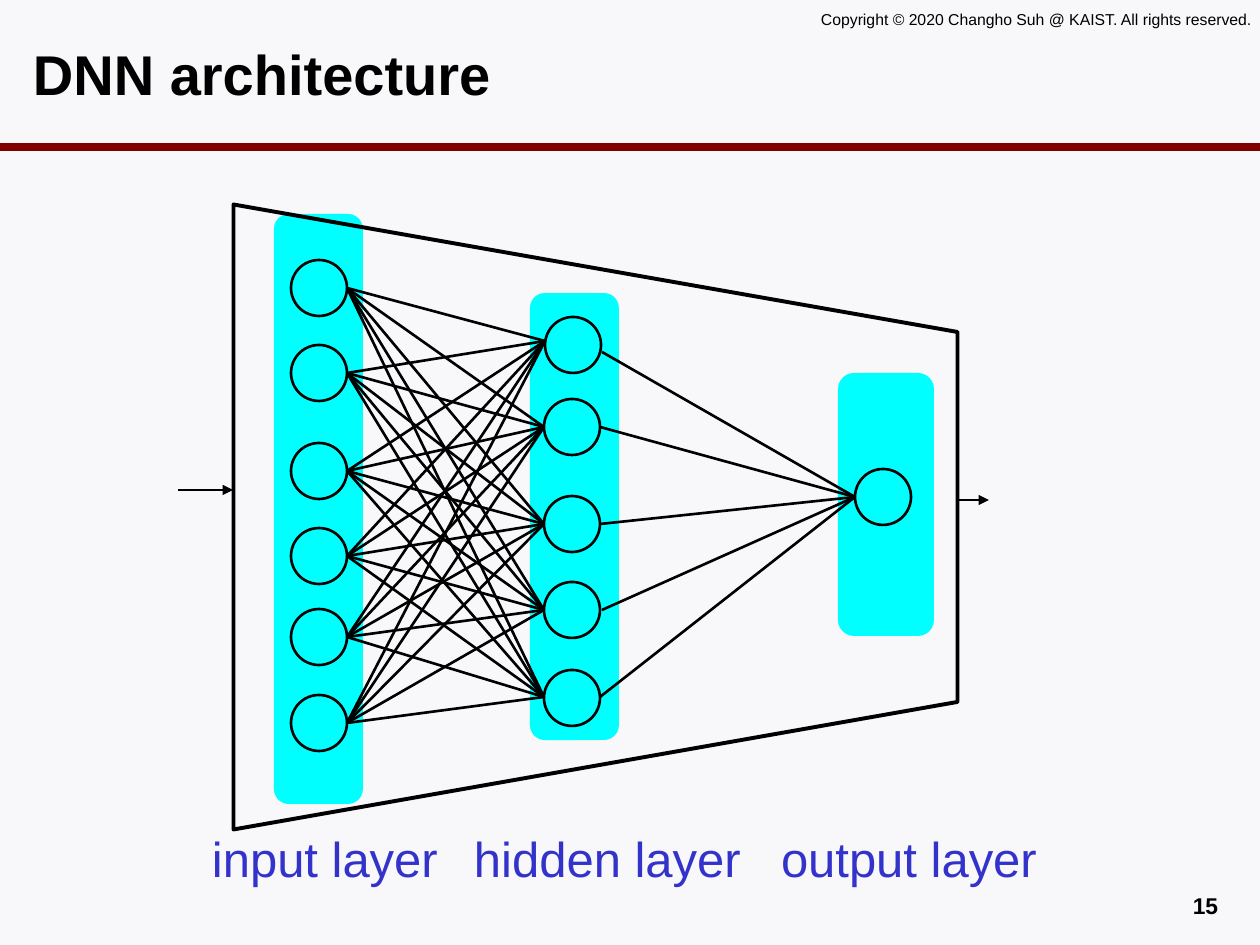
from dataclasses import dataclass
from itertools import product

from lxml import etree
from pptx import Presentation
from pptx.dml.color import RGBColor
from pptx.enum.shapes import MSO_CONNECTOR, MSO_SHAPE
from pptx.enum.text import MSO_ANCHOR, PP_ALIGN
from pptx.oxml.ns import qn
from pptx.util import Emu, Pt

STRAIGHT = MSO_CONNECTOR.STRAIGHT
ELLIPSE, ROUNDED, TRAPEZOID = MSO_SHAPE.OVAL, MSO_SHAPE.ROUNDED_RECTANGLE, MSO_SHAPE.TRAPEZOID
LEFT, RIGHT = PP_ALIGN.LEFT, PP_ALIGN.RIGHT
TOP, MIDDLE = MSO_ANCHOR.TOP, MSO_ANCHOR.MIDDLE

SCALE = 914400 / 126
COLORS = {"bg": "F8F8FA", "rule": "800000", "layer": "00FFFF", "ink": "000000", "label": "3333CC"}
FONT = "Arial"
NODE = 56


@dataclass(frozen=True)
class Box:
    x: int
    y: int
    w: int
    h: int


@dataclass(frozen=True)
class Label:
    text: str
    box: Box
    size: int
    color: str = "ink"
    bold: bool = False
    align: PP_ALIGN = LEFT
    anchor: MSO_ANCHOR = TOP
    inset: int = 12
    wrap: bool = True


@dataclass(frozen=True)
class Line:
    x1: int
    y1: int
    x2: int
    y2: int
    width: float = 1.5
    color: str = "ink"
    arrow: bool = False


@dataclass(frozen=True)
class Neuron:
    x: int
    y: int
    entry_y: int
    exit_x: int
    exit_y: int


LAYERS = [Box(274, 214, 89, 590), Box(530, 293, 89, 447), Box(838, 373, 96, 263)]
INPUTS = [Neuron(319, y, y, 347, y) for y in (288, 373, 471, 556, 637, 723)]
HIDDEN = [
    Neuron(573, 345, 341, 602, 352),
    Neuron(572, 427, 427, 600, 427),
    Neuron(572, 524, 524, 600, 524),
    Neuron(572, 610, 610, 602, 610),
    Neuron(572, 698, 697, 600, 697),
]
OUTPUTS = [Neuron(883, 497, 497, 911, 497)]
RULE = Line(0, 147, 1260, 147, 4.5, "rule")
ARROWS = [Line(178, 490, 233, 490, 0.75, arrow=True), Line(958, 500, 989, 500, 0.75, arrow=True)]
LABELS = [
    Label("Copyright © 2020 Changho Suh @ KAIST. All rights reserved.", Box(809, 4, 470, 32), 9, wrap=False),
    Label("DNN architecture", Box(21, 21, 1205, 105), 32, bold=True, anchor=MIDDLE),
    Label("15", Box(935, 886, 294, 34), 13, bold=True, align=RIGHT, inset=11),
] + [
    Label(text, Box(x, 823, w, 76), 28, "label")
    for text, x, w in (("input layer", 200, 280), ("hidden layer", 462, 344), ("output layer", 769, 344))
]


def px(n: float) -> Emu:
    return Emu(round(n * SCALE))


def rgb(name: str) -> RGBColor:
    return RGBColor.from_string(COLORS[name])


def add_shape(s, kind: MSO_SHAPE, box: Box, fill: str = "", line: float = 0):
    sp = s.shapes.add_shape(kind, px(box.x), px(box.y), px(box.w), px(box.h))
    sp.shadow.inherit = False
    if fill:
        sp.fill.solid()
        sp.fill.fore_color.rgb = rgb(fill)
    else:
        sp.fill.background()
    if line:
        sp.line.color.rgb = rgb("ink")
        sp.line.width = Pt(line)
    else:
        sp.line.fill.background()
    return sp


def add_line(s, line: Line) -> None:
    c = s.shapes.add_connector(STRAIGHT, px(line.x1), px(line.y1), px(line.x2), px(line.y2))
    c.line.color.rgb = rgb(line.color)
    c.line.width = Pt(line.width)
    if line.arrow:
        etree.SubElement(c.line._get_or_add_ln(), qn("a:tailEnd"), type="triangle")
    etree.SubElement(c._element.spPr, qn("a:effectLst"))


def add_label(s, label: Label) -> None:
    box = label.box
    tf = s.shapes.add_textbox(px(box.x), px(box.y), px(box.w), px(box.h)).text_frame
    tf.word_wrap = label.wrap
    tf.vertical_anchor = label.anchor
    tf.margin_left = tf.margin_right = px(label.inset)
    tf.margin_top = tf.margin_bottom = px(6)
    p = tf.paragraphs[0]
    p.alignment = label.align
    r = p.add_run()
    r.text = label.text
    r.font.name = FONT
    r.font.size = Pt(label.size)
    r.font.bold = label.bold
    r.font.color.rgb = rgb(label.color)


def add_links(s, sources: list[Neuron], targets: list[Neuron]) -> None:
    for a, b in product(sources, targets):
        add_line(s, Line(a.exit_x, a.exit_y, b.x - NODE // 2, b.entry_y))


def main() -> None:
    """Build the DNN architecture slide."""
    prs = Presentation()
    prs.slide_width, prs.slide_height = px(1260), px(945)
    s = prs.slides.add_slide(prs.slide_layouts[6])
    s.background.fill.solid()
    s.background.fill.fore_color.rgb = rgb("bg")

    add_line(s, RULE)
    for box in LAYERS:
        add_shape(s, ROUNDED, box, fill="layer")
    frame = add_shape(s, TRAPEZOID, Box(283, 155, 625, 724), line=2.25)
    frame.adjustments[0] = 0.204
    frame.rotation = 90
    add_links(s, INPUTS, HIDDEN)
    add_links(s, HIDDEN, OUTPUTS)
    for n in INPUTS + HIDDEN + OUTPUTS:
        add_shape(s, ELLIPSE, Box(n.x - NODE // 2, n.y - NODE // 2, NODE, NODE), line=1.5)
    for arrow in ARROWS:
        add_line(s, arrow)
    for label in LABELS:
        add_label(s, label)
    prs.save("out.pptx")


if __name__ == "__main__":
    main()
